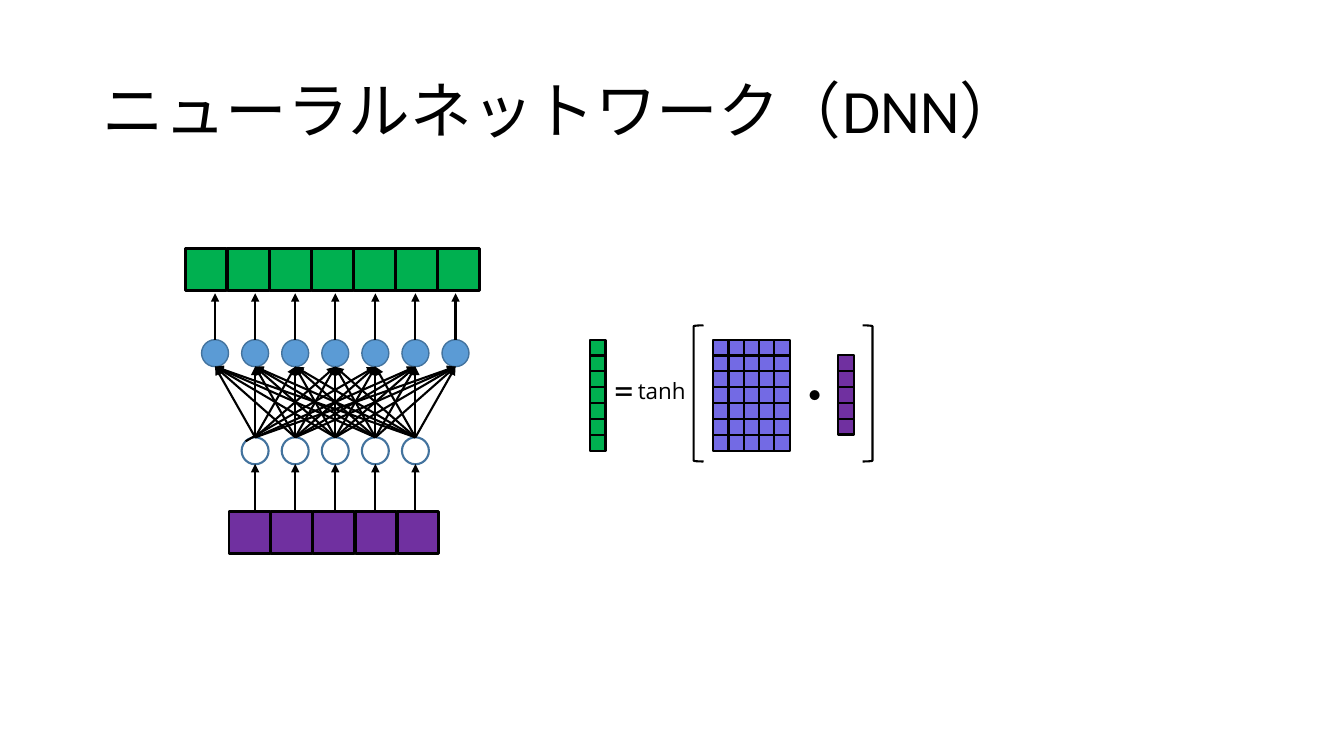
from dataclasses import dataclass

from lxml import etree
from pptx import Presentation
from pptx.dml.color import RGBColor
from pptx.enum.shapes import MSO_CONNECTOR, MSO_SHAPE
from pptx.enum.text import MSO_ANCHOR, MSO_AUTO_SIZE, PP_ALIGN
from pptx.oxml.ns import qn
from pptx.util import Cm, Pt

RECTANGLE, CIRCLE, BRACKET = MSO_SHAPE.RECTANGLE, MSO_SHAPE.OVAL, MSO_SHAPE.LEFT_BRACKET
STRAIGHT = MSO_CONNECTOR.STRAIGHT
LEFT, CENTER, MIDDLE = PP_ALIGN.LEFT, PP_ALIGN.CENTER, MSO_ANCHOR.MIDDLE
FIXED, GROW = MSO_AUTO_SIZE.NONE, MSO_AUTO_SIZE.SHAPE_TO_FIT_TEXT


@dataclass(frozen=True)
class Theme:
    ink: str = "000000"
    neuron: str = "5B9BD5"
    neuron_edge: str = "43739E"
    input: str = "7030A0"
    output: str = "00B050"
    weight: str = "736AE4"
    font: str = "Calibri"
    function_font: str = "Open Sans"
    title_size: int = 44
    symbol_size: int = 28
    function_size: int = 16


theme = Theme()
deck = Presentation()
deck.slide_width, deck.slide_height = Cm(33.87), Cm(19.05)
page = deck.slides.add_slide(deck.slide_layouts[5])


def write(box, text, *, size, font=theme.font, bold=False, align=CENTER, spacing=1.0):
    para = box.text_frame.paragraphs[0]
    para.alignment, para.line_spacing = align, spacing
    span = para.add_run()
    span.text = text
    span.font.name, span.font.size, span.font.bold = font, Pt(size), bold
    span.font.color.rgb = RGBColor.from_string(theme.ink)


def draw(shapes, kind, left, top, width, height, *, fill=None, edge=theme.ink, weight=1.5):
    shape = shapes.add_shape(kind, Cm(left), Cm(top), Cm(width), Cm(height))
    shape.shadow.inherit = False
    if fill:
        shape.fill.solid()
        shape.fill.fore_color.rgb = RGBColor.from_string(fill)
    else:
        shape.fill.background()
    shape.line.color.rgb = RGBColor.from_string(edge)
    shape.line.width = Pt(weight)
    return shape


title = page.shapes.title
title.left, title.top, title.width, title.height = Cm(2.33), Cm(1.01), Cm(29.21), Cm(3.68)
title.text_frame.vertical_anchor = MIDDLE
title.text_frame.word_wrap = True
title.text_frame.auto_size = FIXED
write(title, "ニューラルネットワーク（DNN）", size=theme.title_size, align=LEFT, spacing=0.9)

diameter, neuron_gap = 0.68, 1.01
output_top, input_top = 8.56, 11.02
output_centers = [5.42 + neuron_gap * index for index in range(7)]
input_centers = output_centers[1:6]
for center in output_centers:
    draw(page.shapes, CIRCLE, center - diameter / 2, output_top, diameter, diameter,
         fill=theme.neuron, edge=theme.neuron_edge, weight=1)
for center in input_centers:
    draw(page.shapes, CIRCLE, center - diameter / 2, input_top, diameter, diameter,
         edge=theme.neuron_edge)

arrows = [(x, 12.85, x, 11.69) for x in input_centers]
arrows += [(x, output_top, x, 7.39) for x in output_centers]
for source, start in enumerate(input_centers):
    for target, end in enumerate(output_centers):
        from_side = (source, target) == (0, 4)
        start_x, start_y = (start - 0.24, input_top + 0.1) if from_side else (start, input_top)
        arrows.append((start_x, start_y, end, output_top + diameter))
for points in arrows:
    arrow = page.shapes.add_connector(STRAIGHT, *[Cm(point) for point in points])
    arrow.line.color.rgb = RGBColor.from_string(theme.ink)
    arrow.line.width = Pt(1.5)
    etree.SubElement(arrow.line._get_or_add_ln(), qn("a:tailEnd"), type="triangle")
    etree.SubElement(arrow._element.spPr, qn("a:effectLst"))

square, square_gap = 1.05, 1.06
for count, left, top, color in [(5, 5.77, 12.9, theme.input), (7, 4.67, 6.27, theme.output)]:
    for index in range(count):
        draw(page.shapes, RECTANGLE, left + square_gap * index, top, square, square,
             fill=color, weight=2)

cell, column_gap = 0.4, 0.38
for rows, columns, left, top, color in [
    (7, 1, 14.86, 8.56, theme.output),
    (7, 5, 17.98, 8.56, theme.weight),
    (5, 1, 21.13, 8.95, theme.input),
]:
    matrix = page.shapes.add_group_shape()
    for column in range(columns):
        for row in range(rows):
            draw(matrix.shapes, RECTANGLE, left + column_gap * column, top + cell * row,
                 cell, cell, fill=color)

for left, flipped in [(17.48, False), (21.74, True)]:
    bracket = draw(page.shapes, BRACKET, left, 8.2, 0.25, 3.43)
    if flipped:
        bracket._element.spPr.xfrm.set("flipH", "1")

for text, left, top, width, height, style in [
    ("=", 15.06, 9.09, 1.32, 1.45, {"size": theme.symbol_size}),
    ("tanh", 15.8, 9.37, 1.75, 0.94,
     {"size": theme.function_size, "font": theme.function_font}),
    ("・", 19.81, 9.22, 1.32, 1.45, {"size": theme.symbol_size, "bold": True}),
]:
    box = page.shapes.add_textbox(Cm(left), Cm(top), Cm(width), Cm(height))
    box.text_frame.word_wrap = False
    box.text_frame.auto_size = GROW
    write(box, text, **style)

deck.save("out.pptx")
